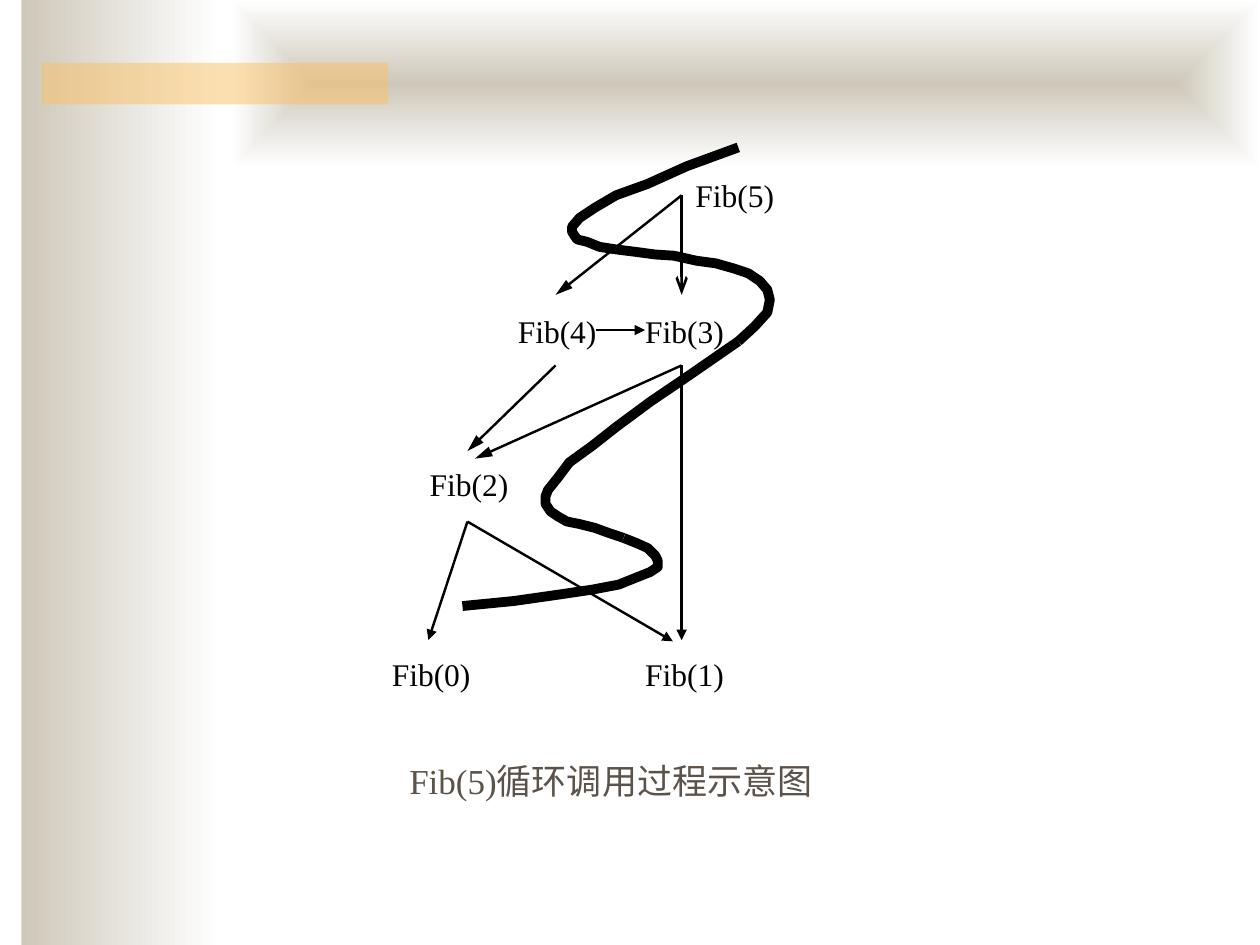
from dataclasses import dataclass

from lxml import etree
from pptx import Presentation, util as u
from pptx.dml.color import RGBColor
from pptx.enum import shapes, text
from pptx.oxml.ns import qn


@dataclass(frozen=True)
class Theme:
    sand: str = "CEC8BA"
    white: str = "FFFFFF"
    amber: str = "FAC164"
    ink: str = "000000"
    brown: str = "5B5249"
    font: str = "Times New Roman"
    label_size: float = 18
    caption_size: float = 20
    arrow_width: float = 1.39
    curve_width: float = 5.61


THEME = Theme()

CALLS = {
    "Fib(5)": (5.52, 1.4),
    "Fib(4)": (4.11, 2.48),
    "Fib(3)": (5.12, 2.48),
    "Fib(2)": (3.41, 3.69),
    "Fib(1)": (5.12, 5.2),
    "Fib(0)": (3.11, 5.2),
}

# start, end, arrowhead kind, arrowhead length
ARROWS = [
    ((4.73, 2.62), (5.12, 2.62), "triangle", "med"),
    ((5.41, 1.55), (5.41, 2.34), "arrow", "lg"),
    ((5.41, 1.55), (4.41, 2.34), "triangle", "lg"),
    ((5.41, 2.9), (5.41, 5.08), "triangle", "med"),
    ((5.41, 2.9), (3.77, 3.64), "triangle", "lg"),
    ((4.41, 2.9), (3.71, 3.58), "triangle", "lg"),
    ((3.71, 4.14), (5.34, 5.09), "triangle", "med"),
    ((3.71, 4.14), (3.4, 5.08), "triangle", "med"),
]

UPPER_CURVE = [
    (5.86, 2.71), (5.99, 2.59), (6.09, 2.48), (6.11, 2.38), (6.09, 2.3),
    (6.03, 2.23), (5.94, 2.17), (5.82, 2.13), (5.68, 2.09), (5.53, 2.07),
    (5.35, 2.03), (5.2, 2.02), (5.05, 2), (4.89, 1.98), (4.76, 1.96),
    (4.66, 1.92), (4.58, 1.9), (4.54, 1.84), (4.54, 1.8), (4.6, 1.73),
    (4.72, 1.65), (4.89, 1.55), (5.14, 1.46), (5.45, 1.32), (5.86, 1.17),
]
MIDDLE_CURVE = [
    (4.95, 4.27), (4.83, 4.23), (4.72, 4.19), (4.6, 4.16), (4.5, 4.14),
    (4.43, 4.1), (4.37, 4.06), (4.33, 4), (4.33, 3.94), (4.35, 3.89),
    (4.43, 3.79), (4.52, 3.67), (4.7, 3.54), (4.89, 3.39), (5.16, 3.19),
    (5.47, 2.98), (5.86, 2.71),
]
LOWER_CURVE = [
    (3.67, 4.81), (4.08, 4.77), (4.43, 4.72), (4.7, 4.68), (4.91, 4.64),
    (5.06, 4.58), (5.16, 4.54), (5.22, 4.5), (5.22, 4.45), (5.2, 4.41),
    (5.14, 4.35), (5.05, 4.31), (4.95, 4.27),
]


def color(value):
    return RGBColor.from_string(value)


def inches(*values):
    return [u.Inches(value) for value in values]


def add_panel(page, *place):
    panel = page.shapes.add_shape(shapes.MSO_SHAPE.RECTANGLE, *inches(*place))
    panel.shadow.inherit = False
    panel.line.fill.background()
    return panel


def add_gradient_panel(page, *place, from_center=False):
    """Fade from sand to white, either left to right or center to edges."""
    panel = add_panel(page, *place)
    panel.fill.gradient()
    panel.fill.gradient_angle = 0
    for stop, value in zip(panel.fill.gradient_stops, (THEME.sand, THEME.white)):
        stop.color.rgb = color(value)
    if from_center:
        gradient = panel._element.spPr.find(qn("a:gradFill"))
        linear = gradient.find(qn("a:lin"))
        route = etree.Element(qn("a:path"), path="rect")
        sides = dict.fromkeys("ltrb", "50000")
        etree.SubElement(route, qn("a:fillToRect"), sides)
        gradient.replace(linear, route)


def add_accent_bar(page, *place):
    bar = add_panel(page, *place)
    bar.fill.solid()
    bar.fill.fore_color.rgb = color(THEME.amber)
    tint = bar._element.spPr.find(qn("a:solidFill"))[0]
    etree.SubElement(tint, qn("a:alpha"), val="50000")


def add_text(page, words, place, size, ink, margins=(0, 0)):
    box = page.shapes.add_textbox(*inches(*place))
    frame = box.text_frame
    frame.word_wrap = False
    frame.auto_size = text.MSO_AUTO_SIZE.SHAPE_TO_FIT_TEXT
    frame.margin_left = frame.margin_right = u.Inches(margins[0])
    frame.margin_top = frame.margin_bottom = u.Inches(margins[1])
    span = frame.paragraphs[0].add_run()
    span.text = words
    span.font.name = THEME.font
    span.font.size = u.Pt(size)
    span.font.color.rgb = color(ink)


def add_arrow(page, start, end, head, length):
    arrow = page.shapes.add_connector(
        shapes.MSO_CONNECTOR.STRAIGHT, *inches(*start, *end))
    arrow.line.color.rgb = color(THEME.ink)
    arrow.line.width = u.Pt(THEME.arrow_width)
    etree.SubElement(arrow.line._get_or_add_ln(), qn("a:tailEnd"),
                     type=head, w="med", len=length)
    etree.SubElement(arrow._element.spPr, qn("a:effectLst"))


def add_curve(page, points):
    first, *rest = [inches(*point) for point in points]
    builder = page.shapes.build_freeform(*first)
    builder.add_line_segments(rest, close=False)
    curve = builder.convert_to_shape()
    curve.shadow.inherit = False
    curve.fill.background()
    curve.line.color.rgb = color(THEME.ink)
    curve.line.width = u.Pt(THEME.curve_width)


def main():
    deck = Presentation()
    deck.slide_width, deck.slide_height = inches(10, 7.5)
    page = deck.slides.add_slide(deck.slide_layouts[6])

    add_gradient_panel(page, 0.17, 0, 1.58, 7.5)
    add_gradient_panel(page, 1.83, 0, 8.17, 1.33, from_center=True)
    add_accent_bar(page, 0.33, 0.5, 2.75, 0.33)

    add_text(page, "Fib(5)循环调用过程示意图", (3.15, 5.98, 3.46, 0.44),
             THEME.caption_size, THEME.brown, margins=(0.1, 0.05))
    for call, corner in CALLS.items():
        add_text(page, call, (*corner, 0.63, 0.3), THEME.label_size, THEME.ink)
    for arrow in ARROWS:
        add_arrow(page, *arrow)
    for points in (UPPER_CURVE, MIDDLE_CURVE, LOWER_CURVE):
        add_curve(page, points)

    deck.save("out.pptx")


if __name__ == "__main__":
    main()
